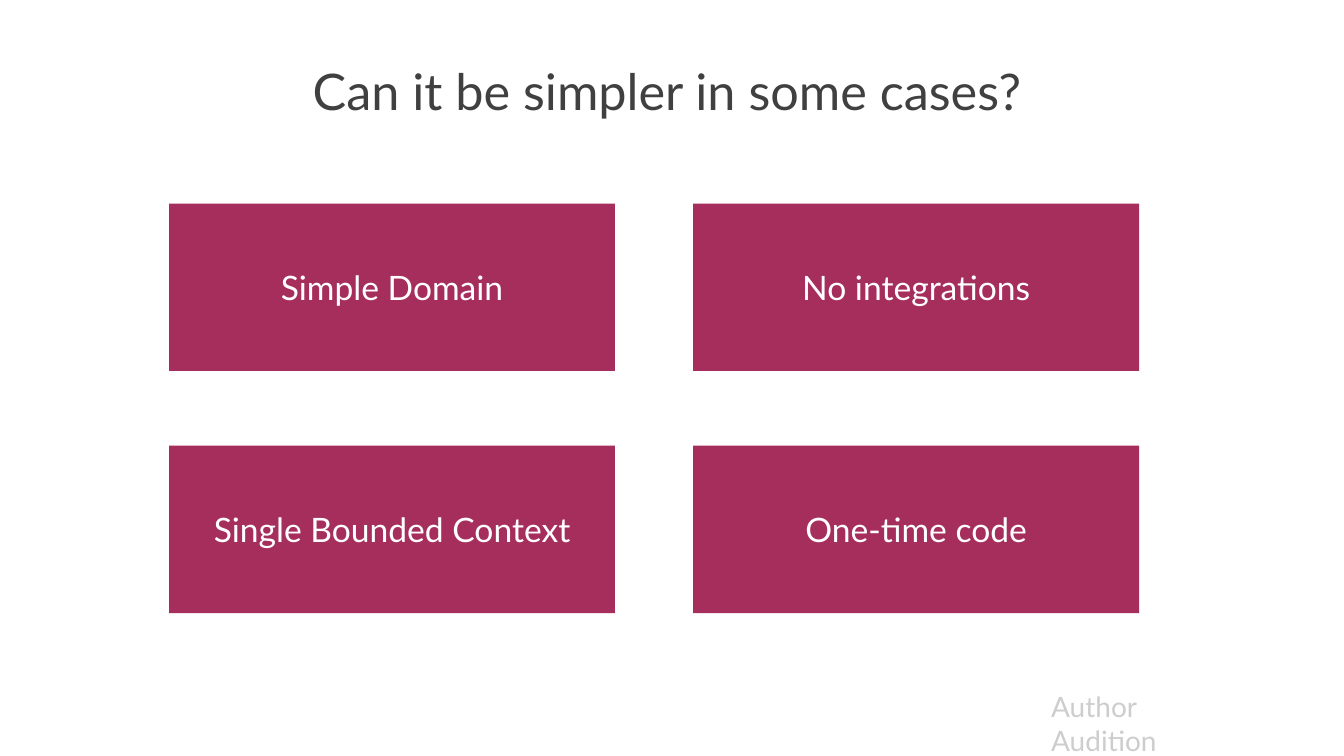
from dataclasses import dataclass

from lxml import etree
from pptx import Presentation
from pptx import util as u
from pptx.dml import color
from pptx.enum import shapes, text
from pptx.oxml import ns

TITLE = "Can it be simpler in some cases?"
CASES = [
    ["Simple Domain", "No integrations"],
    ["Single Bounded Context", "One-time code"],
]
FOOTER = "Author Audition"


@dataclass(frozen=True)
class Theme:
    font: str = "Lato"
    ink: str = "404040"
    card: str = "A62E5C"
    card_text: str = "FFFFFF"
    title_size: int = 36
    card_size: int = 24
    footer_size: int = 20
    footer_opacity: int = 25


THEME = Theme()
CARD_LEFT, CARD_TOP = 4.26, 5.13
CARD_WIDTH, CARD_HEIGHT = 11.24, 4.22
COLUMN_STEP, ROW_STEP = 13.21, 6.1
CARD_INSET = u.Cm(0.76)


def set_values(target, values):
    for name, value in values.items():
        setattr(target, name, value)


def write(shape, words, size, ink, frame_format, paragraph_format):
    frame = shape.text_frame
    set_values(frame, {"word_wrap": True, **frame_format})
    paragraph = frame.paragraphs[0]
    set_values(paragraph, paragraph_format)
    run = paragraph.add_run()
    run.text = words
    set_values(run.font, {"name": THEME.font, "size": u.Pt(size)})
    run.font.color.rgb = color.RGBColor.from_string(ink)
    return run


presentation = Presentation()
set_values(presentation, {"slide_width": u.Cm(33.87), "slide_height": u.Cm(19.05)})
slide = presentation.slides.add_slide(presentation.slide_layouts[5])

footer = slide.shapes.add_textbox(u.Cm(26.24), u.Cm(17.25), u.Cm(5.3), u.Cm(1.12))
footer_run = write(footer, FOOTER, THEME.footer_size, THEME.ink, {}, {})
footer_color = footer_run.font.fill._xPr.find(".//" + ns.qn("a:srgbClr"))
etree.SubElement(footer_color, ns.qn("a:alpha"), val=str(THEME.footer_opacity * 1000))

title = slide.shapes.title
set_values(title, {"left": u.Cm(1.96), "top": u.Cm(1.63),
                   "width": u.Cm(29.95), "height": u.Cm(1.22)})
write(title, TITLE, THEME.title_size, THEME.ink,
      {"vertical_anchor": text.MSO_ANCHOR.TOP, "auto_size": text.MSO_AUTO_SIZE.NONE,
       "margin_left": 0},
      {"alignment": text.PP_ALIGN.CENTER, "line_spacing": 0.85})

card_frame = {"vertical_anchor": text.MSO_ANCHOR.MIDDLE}
card_frame.update({f"margin_{side}": CARD_INSET
                   for side in ("left", "top", "right", "bottom")})
for row, labels in enumerate(CASES):
    for column, label in enumerate(labels):
        card = slide.shapes.add_shape(
            shapes.MSO_SHAPE.RECTANGLE,
            u.Cm(CARD_LEFT + column * COLUMN_STEP), u.Cm(CARD_TOP + row * ROW_STEP),
            u.Cm(CARD_WIDTH), u.Cm(CARD_HEIGHT))
        card.shadow.inherit = False
        card.fill.solid()
        card.fill.fore_color.rgb = color.RGBColor.from_string(THEME.card)
        card.line.fill.background()
        write(card, label, THEME.card_size, THEME.card_text, card_frame,
              {"alignment": text.PP_ALIGN.CENTER, "space_before": u.Pt(18)})

presentation.save("out.pptx")
